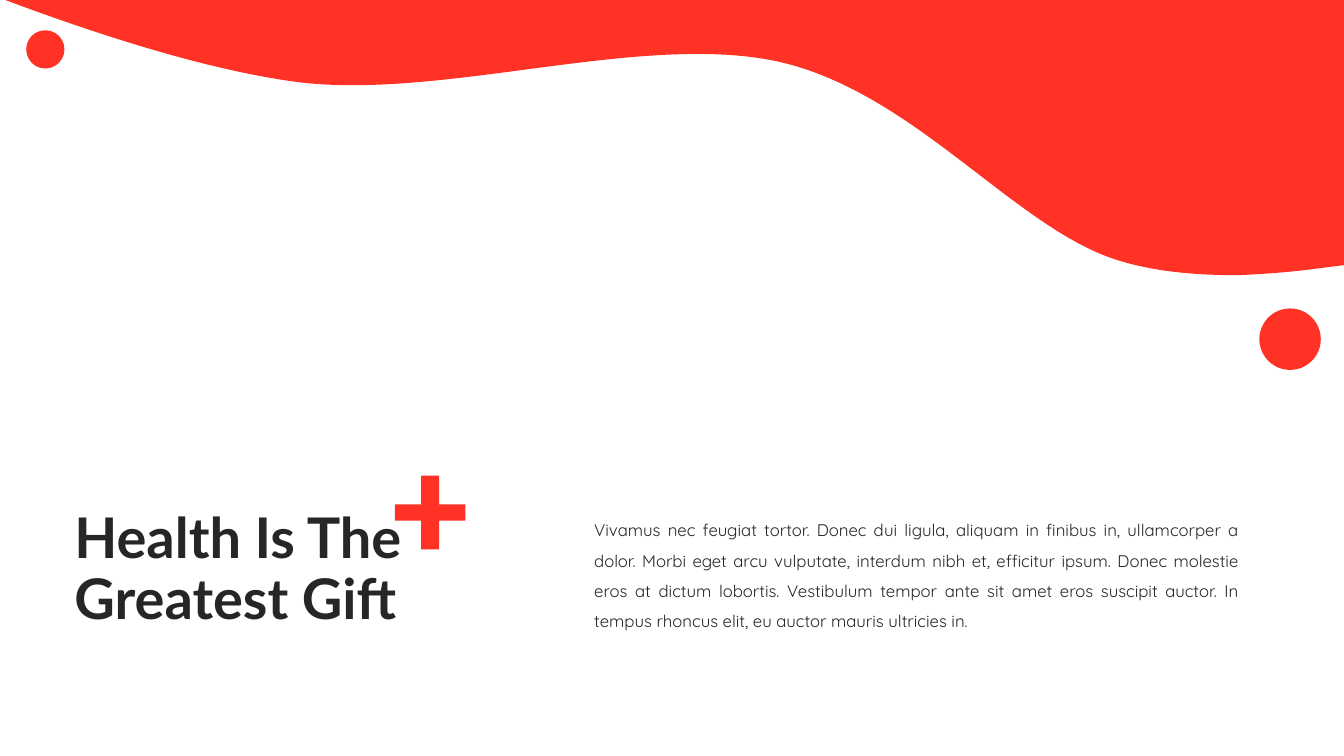
from pptx import Presentation
from pptx.dml.color import RGBColor as Rgb
from pptx.enum.shapes import MSO_SHAPE as Shape
from pptx.enum.text import MSO_ANCHOR as Anchor, PP_ALIGN as Align
from pptx.oxml.ns import qn
from pptx.util import Inches, Pt

COLORS = {"red": "FF3225", "ink": "262626"}
TITLE = "Health Is The Greatest Gift"
BODY = (
    "Vivamus nec feugiat tortor. Donec dui ligula, aliquam in finibus in, "
    "ullamcorper a dolor. Morbi eget arcu vulputate, interdum nibh et, "
    "efficitur ipsum. Donec molestie eros at dictum lobortis. Vestibulum "
    "tempor ante sit amet eros suscipit auctor. In tempus rhoncus elit, "
    "eu auctor mauris ultricies in."
)
CURVES = [
    [(1, 0.37), (2.1, 0.73), (3, 0.84)],
    [(4.45, 1), (6.37, 0.34), (7.72, 0.63)],
    [(9.07, 0.93), (10.07, 2.28), (11.09, 2.6)],
    [(11.47, 2.72), (11.89, 2.75), (12.28, 2.75)],
    [(12.54, 2.74), (12.8, 2.72), (13.03, 2.69)],
]


def paint(shape):
    """Give a shape a plain red fill."""
    shape.shadow.inherit = False
    shape.fill.solid()
    shape.fill.fore_color.rgb = Rgb.from_string(COLORS["red"])
    shape.line.fill.background()


def outline(slide, left, top, points):
    """Draw a closed red outline from points measured from left and top."""
    spots = [(Inches(left + x), Inches(top + y)) for x, y in points]
    form = slide.shapes.build_freeform(*spots[0], scale=1.0)
    form.add_line_segments(spots[1:], close=True)
    shape = form.convert_to_shape()
    paint(shape)
    return shape


def bend(shape, first, count):
    """Turn each three line segments from the first on into one curve."""
    lines = list(shape._element.iter(qn("a:lnTo")))
    for start in range(first, first + 3 * count, 3):
        one, two, end = lines[start:start + 3]
        curve = one.makeelement(qn("a:cubicBezTo"))
        one.addprevious(curve)
        for line in (one, two, end):
            curve.append(line[0])
            line.getparent().remove(line)


def wave(slide, left, top, width, height):
    """Draw the wave that hangs from the top edge."""
    edge = [point for curve in CURVES for point in curve]
    shape = outline(slide, left, top, [
        (0, 0), (0.16, 0.06), *edge, (width, height - 0.09), (width, 0)])
    bend(shape, 1, len(CURVES))


def plus(slide, left, top, width, height, stem=0.18, bar=0.16):
    """Draw the plus sign."""
    x1, y1 = (width - stem) / 2, (height - bar) / 2
    x2, y2 = x1 + stem, y1 + bar
    outline(slide, left, top, [
        (x1, 0), (x2, 0), (x2, y1), (width, y1), (width, y2), (x2, y2),
        (x2, height), (x1, height), (x1, y2), (0, y2), (0, y1), (x1, y1),
    ])


def dot(slide, left, top, size):
    """Draw a round dot."""
    paint(slide.shapes.add_shape(
        Shape.OVAL, *map(Inches, (left, top, size, size))))


def write(slide, box, text, font, size, space, bold=False,
          align=Align.LEFT, anchor=Anchor.TOP):
    """Write one wrapped paragraph in a box."""
    frame = slide.shapes.add_textbox(*map(Inches, box)).text_frame
    frame.word_wrap = True
    frame.vertical_anchor = anchor
    para = frame.paragraphs[0]
    para.text = text
    para.alignment = align
    para.line_spacing = space
    para.font.name = font
    para.font.size = Pt(size)
    para.font.bold = bold
    para.font.color.rgb = Rgb.from_string(COLORS["ink"])


def main():
    """Build and save the slide."""
    deck = Presentation()
    deck.slide_width, deck.slide_height = Inches(13.34), Inches(7.5)
    slide = deck.slides.add_slide(deck.slide_layouts[6])
    wave(slide, 0, -0.02, 13.34, 2.74)
    dot(slide, 12.5, 3.06, 0.61)
    plus(slide, 3.92, 4.72, 0.7, 0.73)
    write(slide, (5.8, 5.01, 6.6, 1.3), BODY, "Quicksand", 12, 1.5,
          align=Align.JUSTIFY)
    dot(slide, 0.26, 0.3, 0.38)
    write(slide, (0.64, 4.94, 5.09, 1.45), TITLE, "Lato", 40, 0.9,
          bold=True, anchor=Anchor.MIDDLE)
    deck.save("out.pptx")


if __name__ == "__main__":
    main()
